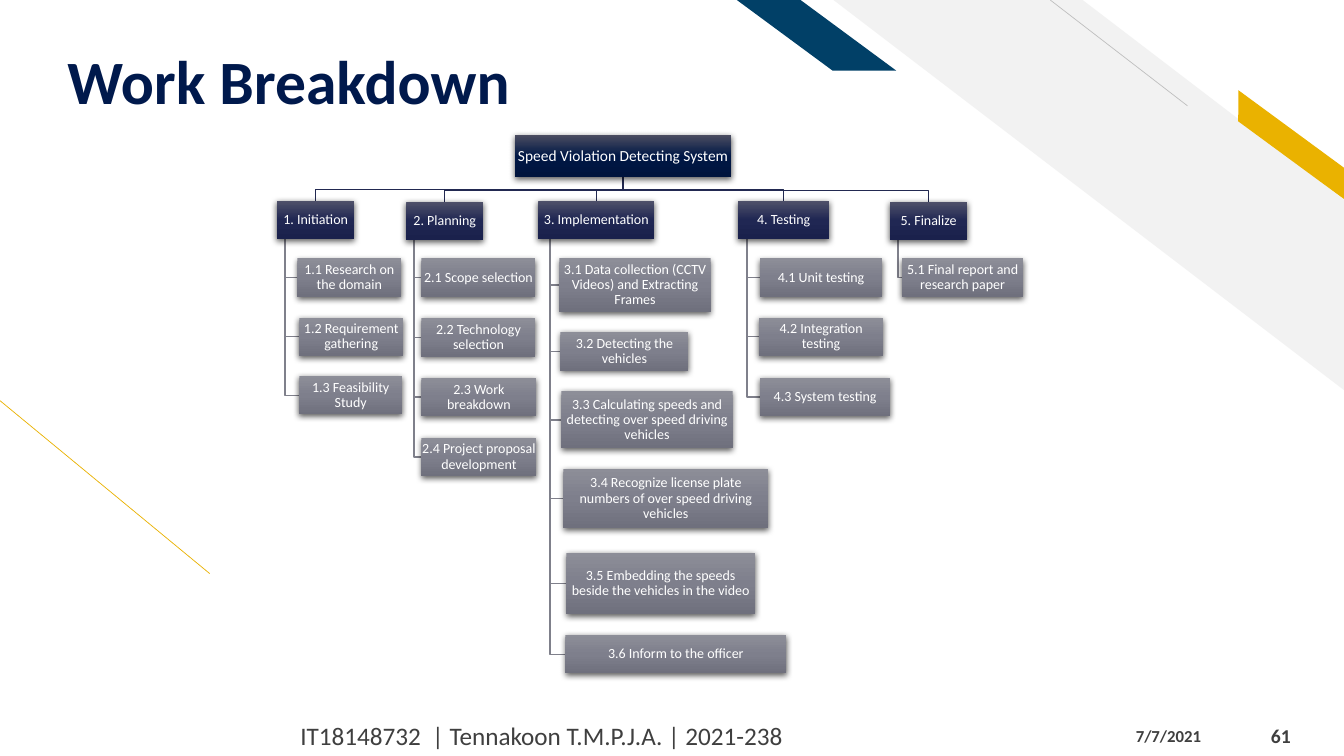
"""Builds a work breakdown slide: a project tree with five branches of tasks."""
from copy import deepcopy

from lxml import etree
from pptx import Presentation
from pptx.dml.color import RGBColor
from pptx.enum.shapes import MSO_CONNECTOR, MSO_SHAPE
from pptx.enum.text import MSO_ANCHOR, MSO_AUTO_SIZE, PP_ALIGN
from pptx.oxml import parse_xml
from pptx.oxml.ns import nsdecls, qn
from pptx.util import Pt

RECTANGLE = MSO_SHAPE.RECTANGLE
STRIPE = MSO_SHAPE.DIAGONAL_STRIPE
PARALLELOGRAM = MSO_SHAPE.PARALLELOGRAM
STRAIGHT = MSO_CONNECTOR.STRAIGHT
TOP, MIDDLE, BOTTOM = MSO_ANCHOR.TOP, MSO_ANCHOR.MIDDLE, MSO_ANCHOR.BOTTOM
LEFT, CENTER = PP_ALIGN.LEFT, PP_ALIGN.CENTER

FONT = "Calibri"
COLORS = {
    "title": "00194C", "footer": "3F3F3F", "white": "FFFFFF", "gold": "EAB200",
    "teal": "014067", "band": "F2F2F2", "hairline": "BFBFBF",
    "branch_line": "222951", "task_line": "7F808B", "shadow": "000000",
}
GRADIENTS = {
    "root": ("4B4D61", "001745", "00143D"),
    "heading": ("50526A", "202753", "1A214C"),
    "task": ("8D8E98", "7E7F8C", "6F707D"),
}

TITLE = ("Work Breakdown", (41, 16.5, 853, 67.7))
ROOT = ("Speed Violation Detecting System", (367.9, 96.5, 154.4, 30.2))
ROW = 27.4
TASK_TOP = 184.5
BRANCHES = [
    ("1. Initiation", (198, 143.3, 55, ROW), [
        ("1.1 Research on the domain", (212.4, TASK_TOP, 74.2, ROW)),
        ("1.2 Requirement gathering", (213.8, 226.8, 74.2, ROW)),
        ("1.3 Feasibility Study", (213.8, 268.6, 73.4, ROW)),
    ]),
    ("2. Planning", (290.2, 144, 55, ROW), [
        ("2.1 Scope selection", (301, TASK_TOP, 81.5, ROW)),
        ("2.2 Technology selection", (301, 227.3, 81.5, ROW)),
        ("2.3 Work breakdown", (301, 270, 82.1, ROW)),
        ("2.4 Project proposal development", (301, 312.7, 82.1, ROW)),
    ]),
    ("3. Implementation", (384.5, 143.3, 82.8, ROW), [
        ("3.1 Data collection (CCTV Videos) and Extracting Frames",
         (399.6, TASK_TOP, 108, 38.2)),
        ("3.2 Detecting the vehicles", (400.3, 237.3, 91.5, ROW)),
        ("3.3 Calculating speeds and detecting over speed driving vehicles",
         (401, 279.4, 122.4, 41)),
        ("3.4 Recognize license plate numbers of over speed driving vehicles",
         (402.5, 334.8, 146.2, 42.5)),
        ("3.5 Embedding the speeds beside the vehicles in the video",
         (404.6, 394.8, 134.6, 43.9)),
        ("3.6 Inform to the officer", (403.9, 453.6, 157.7, ROW)),
    ]),
    ("4. Testing", (527, 143.3, 65.5, ROW), [
        ("4.1 Unit testing", (542.9, TASK_TOP, 87.1, ROW)),
        ("4.2 Integration testing", (542.2, 226.8, 88.6, ROW)),
        ("4.3 System testing", (542.9, 270, 92.9, ROW)),
    ]),
    ("5. Finalize", (635.8, 144, 55, ROW), [
        ("5.1 Final report and research paper", (644.4, TASK_TOP, 86.4, ROW)),
    ]),
]
FOOTERS = [
    ("61", (900.7, 511.2, 53.3, 28.8), 14, True, MIDDLE),
    ("7/7/2021", (804.2, 514.8, 90, 21.6), 12, True, TOP),
    ("IT18148732  | Tennakoon T.M.P.J.A. | 2021-238",
     (207.4, 511.2, 536.4, 28.8), 18, False, MIDDLE),
]
DECORATIONS = [
    (STRIPE, (595.4, 0, 364.6, 278.6), 0.512, 0, "band"),
    (PARALLELOGRAM, (869, 94.3, 106.6, 18), 0.72, 36.3, "gold"),
    (PARALLELOGRAM, (526.3, 0, 113.8, 50.4), 1.356, 0, "teal"),
]
THIN_LINES = [
    ((149.8, 409.7), (0, 286.2), "gold"),
    ((848.2, 75.6), (750.2, 0), "hairline"),
]
BEND_RISE = 7.9
STEM_SHARE = 0.1


def rgb(name):
    return RGBColor.from_string(COLORS[name])


def points(values):
    return [Pt(value) for value in values]


def write(shape, text, size, color, bold=False, align=LEFT, anchor=MIDDLE,
          margins=(7.2, 3.6, 7.2, 3.6), spacing=1.0):
    frame = shape.text_frame
    frame.auto_size = MSO_AUTO_SIZE.NONE
    frame.word_wrap = True
    frame.vertical_anchor = anchor
    (frame.margin_left, frame.margin_top,
     frame.margin_right, frame.margin_bottom) = points(margins)
    paragraph = frame.paragraphs[0]
    paragraph.alignment = align
    paragraph.line_spacing = spacing
    run = paragraph.add_run()
    run.text = text
    run.font.name = FONT
    run.font.size = Pt(size)
    run.font.bold = bold
    run.font.color.rgb = rgb(color)


def add_decoration(slide, kind, box, adjustment, rotation, color):
    shape = slide.shapes.add_shape(kind, *points(box))
    shape.adjustments[0] = adjustment
    shape.rotation = rotation
    shape._element.spPr.find(qn("a:xfrm")).set("flipH", "1")
    shape.shadow.inherit = False
    shape.fill.solid()
    shape.fill.fore_color.rgb = rgb(color)
    shape.line.fill.background()


def add_thin_line(slide, start, end, color):
    line = slide.shapes.add_connector(STRAIGHT, *points(start + end))
    line.line.color.rgb = rgb(color)
    line.line.width = Pt(0.5)
    etree.SubElement(line._element.spPr, qn("a:effectLst"))


def add_path(slide, vertices, color):
    start, *rest = [tuple(points(vertex)) for vertex in vertices]
    builder = slide.shapes.build_freeform(*start)
    builder.add_line_segments(rest, close=False)
    path = builder.convert_to_shape()
    path.shadow.inherit = False
    path.fill.background()
    path.line.color.rgb = rgb(color)
    path.line.width = Pt(1)


def add_box(slide, text, box, level, size=10):
    shape = slide.shapes.add_shape(RECTANGLE, *points(box))
    shape.line.fill.background()
    shape.fill.gradient()
    shape.fill.gradient_angle = 270
    properties = shape._element.spPr
    first_stop = properties.find(".//" + qn("a:gs"))
    middle_stop = deepcopy(first_stop)
    middle_stop.set("pos", "50000")
    first_stop.addnext(middle_stop)
    for stop, color in zip(shape.fill.gradient_stops, GRADIENTS[level]):
        stop.color.rgb = RGBColor.from_string(color)
    shape.shadow.inherit = False
    properties.find(qn("a:effectLst")).append(parse_xml(
        f'<a:outerShdw {nsdecls("a")} blurRad="{Pt(4.5)}" dist="{Pt(1.5)}" '
        f'dir="5400000" algn="ctr" rotWithShape="0"><a:srgbClr val="{COLORS["shadow"]}">'
        '<a:alpha val="63000"/></a:srgbClr></a:outerShdw>'))
    write(shape, text, size, "white", align=CENTER, margins=(0.5,) * 4, spacing=0.9)


def add_branch_lines(slide, heading_box, tasks):
    root_left, root_top, root_width, root_height = ROOT[1]
    left, top, width, height = heading_box
    root_x, heading_x = root_left + root_width / 2, left + width / 2
    bend = top - BEND_RISE
    add_path(slide, [(root_x, root_top + root_height), (root_x, bend),
                     (heading_x, bend), (heading_x, top)], "branch_line")
    stem = left + width * STEM_SHARE
    for _, (task_left, task_top, _, task_height) in tasks:
        center = task_top + task_height / 2
        add_path(slide, [(stem, top + height), (stem, center), (task_left, center)],
                 "task_line")


def main():
    presentation = Presentation()
    presentation.slide_width, presentation.slide_height = Pt(960), Pt(540)
    slide = presentation.slides.add_slide(presentation.slide_layouts[5])

    for decoration in DECORATIONS:
        add_decoration(slide, *decoration)
    for thin_line in THIN_LINES:
        add_thin_line(slide, *thin_line)

    title = slide.shapes.title
    title.left, title.top, title.width, title.height = points(TITLE[1])
    write(title, TITLE[0], 44, "title", bold=True, anchor=BOTTOM,
          margins=(7.2, 3.6, 7.2, 0), spacing=0.9)

    for _, heading_box, tasks in BRANCHES:
        add_branch_lines(slide, heading_box, tasks)
    add_box(slide, *ROOT, "root", size=11)
    for heading, heading_box, tasks in BRANCHES:
        add_box(slide, heading, heading_box, "heading")
        for task, task_box in tasks:
            add_box(slide, task, task_box, "task")

    for text, box, size, bold, anchor in FOOTERS:
        write(slide.shapes.add_textbox(*points(box)), text, size, "footer",
              bold=bold, anchor=anchor)
    presentation.save("out.pptx")


if __name__ == "__main__":
    main()
